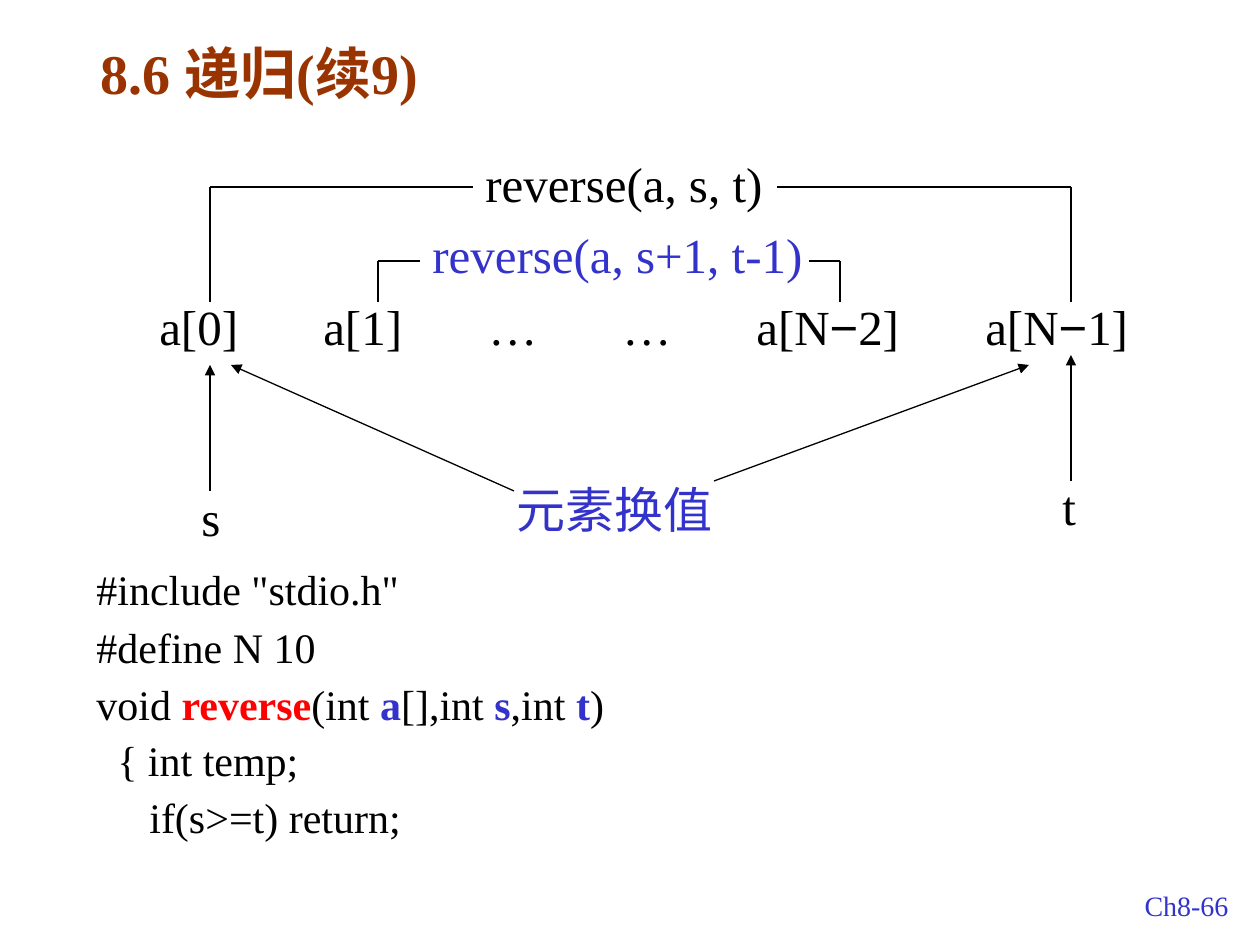
from lxml.etree import SubElement
from pptx import Presentation
from pptx.dml.color import RGBColor
from pptx.enum.shapes import MSO_CONNECTOR
from pptx.enum.text import MSO_ANCHOR, MSO_AUTO_SIZE, PP_ALIGN
from pptx.oxml.ns import qn
from pptx.util import Pt

PX = 914400 // 126
BLACK = RGBColor(0x00, 0x00, 0x00)
BLUE = RGBColor(0x33, 0x33, 0xCC)
BROWN = RGBColor(0x99, 0x33, 0x00)
RED = RGBColor(0xFF, 0x00, 0x00)
SERIF = "Times New Roman"

prs = Presentation()
prs.slide_width, prs.slide_height = 1260 * PX, 945 * PX
s = prs.slides.add_slide(prs.slide_layouts[5])


def add_text(text, box, size=28, color=BLACK, bold=False, before=17.5,
             align=PP_ALIGN.LEFT, spacing=None, sp=None):
    sp = sp or s.shapes.add_textbox(0, 0, 0, 0)
    sp.left, sp.top, sp.width, sp.height = [v * PX for v in box]
    tf = sp.text_frame
    tf.word_wrap = True
    tf.auto_size = MSO_AUTO_SIZE.SHAPE_TO_FIT_TEXT
    tf.vertical_anchor = MSO_ANCHOR.TOP
    lines = [[(text, {})]] if isinstance(text, str) else text
    for i, line in enumerate(lines):
        p = tf.add_paragraph() if i else tf.paragraphs[0]
        p.alignment = align
        p.space_before = Pt(before)
        if spacing:
            p.line_spacing = spacing[i]
        for words, style in line:
            r = p.add_run()
            r.text = words
            r.font.name = style.get("font", SERIF)
            r.font.size = Pt(size)
            r.font.bold = style.get("bold", bold)
            r.font.color.rgb = style.get("color", color)
    return tf


def add_line(x1, y1, x2, y2, arrow=False):
    line = s.shapes.add_connector(MSO_CONNECTOR.STRAIGHT, x1 * PX, y1 * PX, x2 * PX, y2 * PX)
    line.line.color.rgb = BLACK
    line.line.width = Pt(0.75)
    if arrow:
        SubElement(line.line._get_or_add_ln(), qn("a:tailEnd"), type="triangle")
    SubElement(line._element.spPr, qn("a:effectLst"))


add_text("8.6 递归(续9)", (88, 32, 1061, 81), size=32, color=BROWN, bold=True,
         before=20, sp=s.shapes.title)
add_text("Ch8-66", (1113, 882, 147, 47), size=16, color=BLUE, before=10, align=PP_ALIGN.CENTER)

minus = ("−", {"font": "Arial"})
tf = add_text([[("a[0]\ta[1]\t…\t…\ta[N", {}), minus, ("2]\ta[N", {}), minus, ("1]", {})]],
              (147, 302, 1061, 60), spacing=[0.8])
tabs = SubElement(tf.paragraphs[0]._p.get_or_add_pPr(), qn("a:tabLst"))
for stop in (164, 329, 463, 597, 826):
    SubElement(tabs, qn("a:tab"), pos=str(stop * PX), algn="l")

for text, box, color in [
    ("s", (189, 481, 53, 72), BLACK),
    ("t", (1050, 470, 53, 72), BLACK),
    ("元素换值", (504, 473, 252, 72), BLUE),
    ("reverse(a, s, t)", (473, 147, 378, 72), BLACK),
    ("reverse(a, s+1, t-1)", (420, 218, 410, 72), BLUE),
]:
    add_text(text, box, color=color)

for left, gap_left, gap_right, right, top in [
    (210, 473, 777, 1071, 187),
    (378, 420, 809, 840, 261),
]:
    for outer, inner in ((left, gap_left), (right, gap_right)):
        add_line(outer, top, inner, top)
        add_line(outer, top, outer, 302)

for ends in [
    (210, 491, 210, 365),
    (1071, 481, 1071, 355),
    (514, 491, 231, 365),
    (714, 481, 1029, 365),
]:
    add_line(*ends, arrow=True)

name = {"color": BLUE, "bold": True}
code = [
    [('#include "stdio.h"', {})],
    [("#define N 10", {})],
    [("void ", {}), ("reverse", {"color": RED, "bold": True}), ("(int ", {}), ("a", name),
     ("[],int ", {}), ("s", name), (",int", {}), (" t", name), (")", {})],
    [("{ int temp;", {})],
    [("if(s>=t) return;", {})],
]
tf = add_text(code, (84, 557, 1144, 290), size=24, before=15, align=PP_ALIGN.JUSTIFY,
              spacing=[1.0] + [0.6] * 4)
for p, indent in zip(tf.paragraphs[3:], (21, 53)):
    p._p.get_or_add_pPr().set("marL", str(indent * PX))

prs.save("out.pptx")
